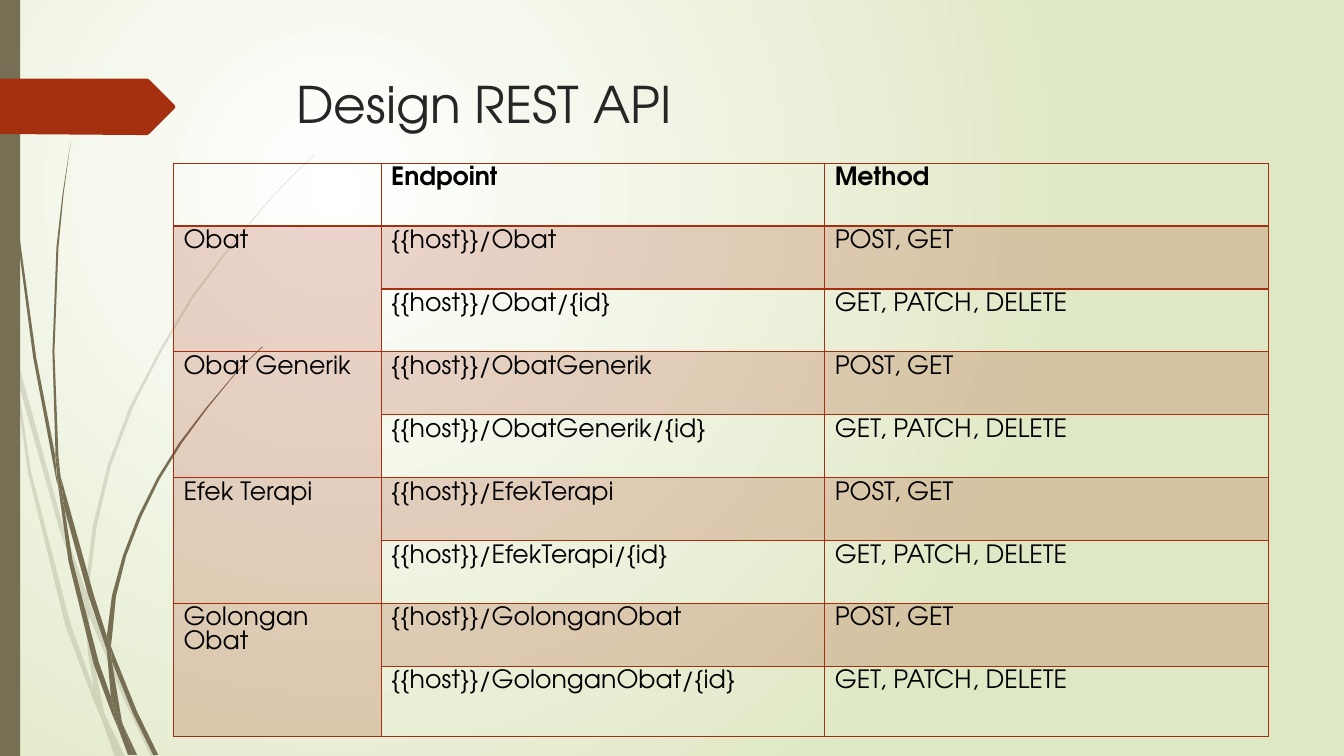
from lxml import etree
from pptx import Presentation
from pptx.dml.color import RGBColor
from pptx.enum.shapes import MSO_SHAPE as SHAPE
from pptx.enum.text import MSO_ANCHOR as ANCHOR, PP_ALIGN as ALIGN
from pptx.oxml import parse_xml
from pptx.oxml.ns import nsdecls, qn
from pptx.util import Inches, Pt

# Content
TITLE = "Design REST API"
HEADER = ["", "Endpoint", "Method"]
RESOURCES = ["Obat", "Obat Generik", "Efek Terapi", "Golongan Obat"]
ROUTES = [("", "POST, GET"), ("/{id}", "GET, PATCH, DELETE")]

# Format
FONT = "TeX Gyre Adventor"
COLORS = {"grass": "766F54", "accent": "A53010", "title": "262626",
          "text": "000000", "center": "FFFFFF", "edge": "DFE8C4"}
TITLE_FONT = {"name": FONT, "size": Pt(36), "bold": False}
CELL_FONT = {"name": FONT, "size": Pt(18)}
CELL_BOX = {"margin_left": Inches(0.1), "margin_right": Inches(0.1),
            "margin_top": Inches(0.04), "margin_bottom": 0, "vertical_anchor": ANCHOR.TOP}
COLS = [2.06, 4.4, 4.4]
TABLE_H, LAST_ROW_H = 5.69, 0.7

# Grass pieces as outlines, in inches
PALE_GRASS = [
    [(0.11, 3.5), (0.09, 3.22), (0, 2.82), (0, 2.99), (0.1, 3.44)],
    [(0.58, 5.22), (0.84, 5.99), (0.85, 5.86), (0.62, 5.2), (0.14, 3.45), (0.17, 3.76)],
    [(0.92, 6.07), (0.88, 5.96), (0.88, 6.1), (1.23, 6.94), (1.5, 7.51), (1.55, 7.51),
     (1.27, 6.92)],
    [(1.19, 7.51), (1.24, 7.51), (1.05, 7.11)],
    [(0.93, 6.83), (0.7, 6.19), (0.31, 4.69), (0.17, 3.76), (0.11, 3.5), (0.28, 4.7),
     (0.65, 6.21), (0.92, 6.93), (1.01, 7.14), (0.99, 7.07)],
    [(0.84, 5.99), (0.87, 6.46), (0.93, 6.83), (0.96, 6.92), (1.05, 7.11), (1.03, 7.06),
     (0.91, 6.46), (0.88, 6.1), (0.88, 6.08)],
    [(0.88, 5.84), (0.96, 5.22), (1.1, 4.62), (1.32, 4.04), (1.6, 3.49), (1.92, 2.95),
     (2.29, 2.45), (2.68, 1.98), (2.9, 1.75), (3.12, 1.54), (3.12, 1.53), (2.89, 1.75),
     (2.68, 1.97), (2.28, 2.44), (1.9, 2.94), (1.58, 3.48), (1.29, 4.03), (1.07, 4.61),
     (0.92, 5.22), (0.85, 5.84), (0.85, 5.86), (0.88, 5.96)],
    [(1.01, 7.14), (1.14, 7.51), (1.19, 7.51)],
    [(0.88, 6.08), (0.88, 6.1), (0.88, 5.96), (0.85, 5.86), (0.84, 5.99)],
    [(0.96, 6.92), (0.93, 6.83), (0.99, 7.07), (1.01, 7.14), (1.19, 7.51), (1.05, 7.11)],
]
DARK_GRASS = [
    [(0.07, 1.1), (0.17, 2.33), (0.33, 3.55), (0.56, 4.77), (0.57, 4.81), (0.55, 4.57),
     (0.55, 4.53), (0.36, 3.55), (0.19, 2.32), (0.08, 1.09), (0.05, 0.48), (0.04, 0),
     (0.03, 0), (0.04, 0.48)],
    [(0.88, 5.92), (1.06, 6.45), (1.06, 6.33), (1.06, 6.31), (0.93, 5.9), (0.6, 4.72),
     (0.64, 5.05)],
    [(1.13, 6.49), (1.1, 6.41), (1.11, 6.56), (1.32, 7.08), (1.52, 7.49), (1.57, 7.49),
     (1.36, 7.06)],
    [(1.1, 6.91), (0.98, 6.57), (0.72, 5.56), (0.64, 5.05), (0.57, 4.77), (0.68, 5.57),
     (0.93, 6.59), (1.11, 7.08), (1.17, 7.22), (1.16, 7.17)],
    [(0.6, 4.72), (0.58, 4.53), (0.54, 3.49), (0.58, 2.45), (0.63, 1.93), (0.7, 1.41),
     (0.62, 1.93), (0.56, 2.45), (0.52, 3.49), (0.55, 4.49)],
    [(1.33, 7.49), (1.36, 7.49), (1.22, 7.19)],
    [(0.57, 4.77), (0.64, 5.05), (0.6, 4.72), (0.55, 4.49), (0.55, 4.53)],
    [(1.11, 6.33), (1.15, 5.92), (1.25, 5.52), (1.4, 5.13), (1.58, 4.76), (1.8, 4.4),
     (2.05, 4.06), (2.31, 3.74), (2.45, 3.59), (2.61, 3.44), (2.6, 3.44), (2.45, 3.58),
     (2.31, 3.73), (2.04, 4.05), (1.78, 4.39), (1.56, 4.74), (1.37, 5.12), (1.22, 5.51),
     (1.11, 5.91), (1.06, 6.31), (1.1, 6.41)],
    [(1.17, 7.22), (1.27, 7.49), (1.31, 7.49)],
    [(1.06, 6.45), (1.1, 6.91), (1.16, 7.06), (1.22, 7.19), (1.21, 7.16), (1.11, 6.56),
     (1.09, 6.51)],
    [(1.06, 6.45), (1.09, 6.51), (1.11, 6.56), (1.1, 6.41), (1.06, 6.31), (1.06, 6.33)],
    [(1.16, 7.06), (1.1, 6.91), (1.16, 7.17), (1.17, 7.22), (1.3, 7.49), (1.33, 7.49),
     (1.22, 7.19)],
]
ARROW_TAG = [(1.73, 1.08), (1.48, 1.33), (1.46, 1.34), (1.36, 1.34), (0, 1.33), (0, 0.78),
             (1.36, 0.78), (1.46, 0.78), (1.48, 0.79), (1.73, 1.04), (1.74, 1.06)]


def style(target, values):
    for key, value in values.items():
        setattr(target, key, value)


def rgb(color):
    return RGBColor.from_string(COLORS[color])


def paint(fill, color, element, alpha=None):
    fill.solid()
    fill.fore_color.rgb = rgb(color)
    if alpha:
        clr = next(element.iter(qn("a:srgbClr")))
        etree.SubElement(clr, qn("a:alpha")).set("val", str(alpha * 1000))


def finish(sp, color, alpha=None):
    sp.shadow.inherit = False
    sp.line.fill.background()
    paint(sp.fill, color, sp._element.spPr, alpha)


def add_outline(points, color, alpha=None):
    first, *rest = [(Inches(x), Inches(y)) for x, y in points]
    fb = s.shapes.build_freeform(*first)
    fb.add_line_segments(rest, close=True)
    finish(fb.convert_to_shape(), color, alpha)


def set_borders(cell, bottom):
    tcPr = cell._tc.get_or_add_tcPr()
    for i, (side, width) in enumerate(zip("LRTB", (1, 1, 1, bottom))):
        tcPr.insert(i, parse_xml(
            f'<a:ln{side} {nsdecls("a")} w="{Pt(width)}"><a:solidFill>'
            f'<a:srgbClr val="{COLORS["accent"]}"/></a:solidFill></a:ln{side}>'))


def fill_cell(row, col, text, tinted):
    cell = table.cell(row, col)
    style(cell, CELL_BOX)
    if tinted:
        paint(cell.fill, "accent", cell._tc.tcPr, 20)
    else:
        cell.fill.background()
    set_borders(cell, 2 if row == 0 else 1)
    p = cell.text_frame.paragraphs[0]
    style(p.font, CELL_FONT)
    if text:
        r = p.add_run()
        r.text = text
        style(r.font, {**CELL_FONT, "bold": row == 0})
        r.font.color.rgb = rgb("text")


prs = Presentation()
prs.slide_width, prs.slide_height = Inches(13.33), Inches(7.5)
s = prs.slides.add_slide(prs.slide_layouts[5])

# Background: radial gradient
s.background.fill.solid()
bgPr = s.background._cSld.bg.bgPr
bgPr.replace(bgPr[0], parse_xml(
    f'<a:gradFill {nsdecls("a")} rotWithShape="1"><a:gsLst>'
    f'<a:gs pos="0"><a:srgbClr val="{COLORS["center"]}"/></a:gs>'
    f'<a:gs pos="100000"><a:srgbClr val="{COLORS["edge"]}"/></a:gs></a:gsLst>'
    '<a:path path="circle"><a:fillToRect l="50000" t="50000" r="100000" b="100000"/>'
    '</a:path></a:gradFill>'))

# Grass, side bar and arrow tag
for pieces, alpha in ((PALE_GRASS, 20), (DARK_GRASS, None)):
    for points in pieces:
        add_outline(points, "grass", alpha)
bar = s.shapes.add_shape(SHAPE.RECTANGLE, 0, 0, Inches(0.2), prs.slide_height)
finish(bar, "grass")
add_outline(ARROW_TAG, "accent")

# Title
title = s.shapes.title
style(title, dict(zip(("left", "top", "width", "height"),
                      map(Inches, (2.84, 0.68, 9.75, 1.4)))))
tf = title.text_frame
style(tf, {"text": TITLE, "vertical_anchor": ANCHOR.TOP, "word_wrap": True})
p = tf.paragraphs[0]
p.alignment = ALIGN.LEFT
style(p.runs[0].font, TITLE_FONT)
p.runs[0].font.color.rgb = rgb("title")

# Table: one header row, then a row per route of each resource
rows = [HEADER] + [[name if i == 0 else "", "{{host}}/" + name.replace(" ", "") + suffix, method]
                   for name in RESOURCES for i, (suffix, method) in enumerate(ROUTES)]
body = len(rows) - 1
heights = [(TABLE_H - LAST_ROW_H) / body] * body + [LAST_ROW_H]
table = s.shapes.add_table(len(rows), len(COLS), Inches(1.72), Inches(1.62),
                           Inches(sum(COLS)), Inches(TABLE_H)).table
style(table, {"first_row": False, "horz_banding": False})
for column, width in zip(table.columns, COLS):
    column.width = Inches(width)
for row, height in zip(table.rows, heights):
    row.height = Inches(height)
for i, texts in enumerate(rows):
    for j, text in enumerate(texts):
        fill_cell(i, j, text, tinted=i > 0 and (j == 0 or i % 2 == 1))
for i in range(1, len(rows), len(ROUTES)):
    table.cell(i, 0).merge(table.cell(i + len(ROUTES) - 1, 0))

prs.save("out.pptx")
